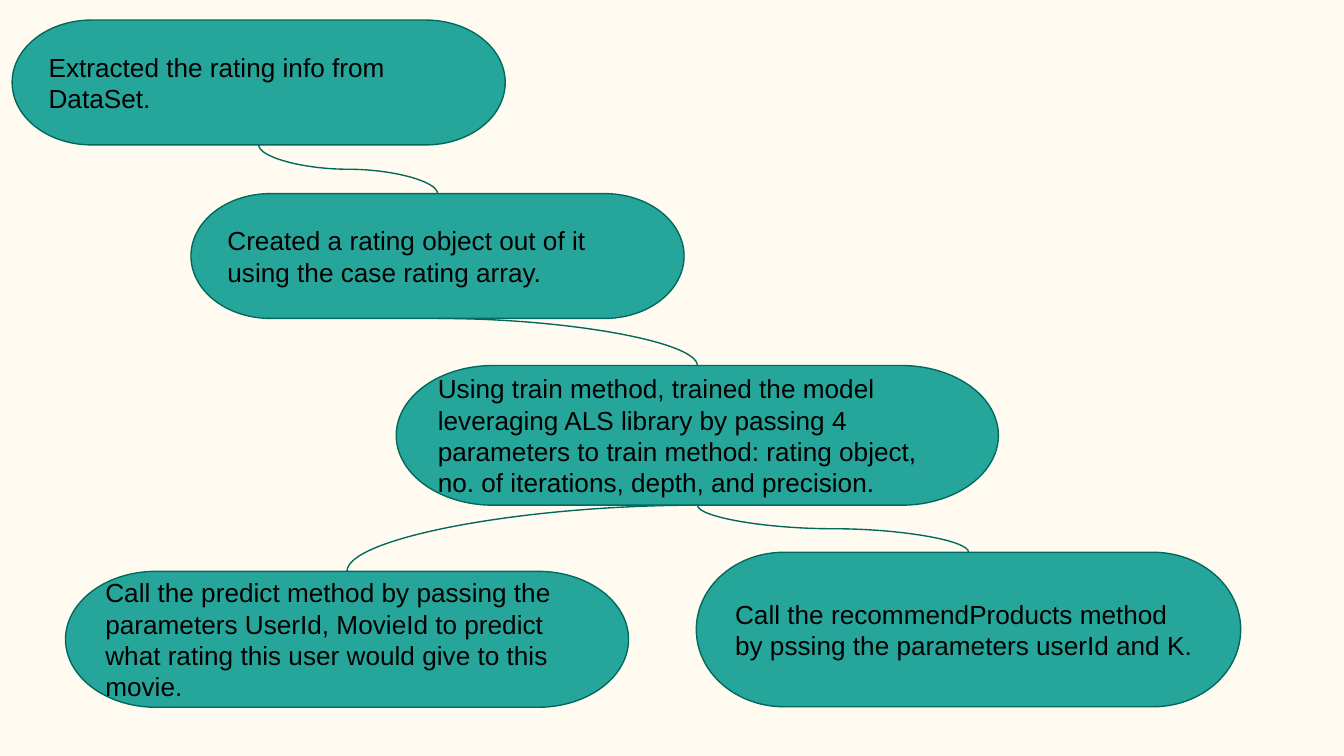
from lxml import etree
from pptx import Presentation
from pptx.dml.color import RGBColor
from pptx.enum import shapes, text
from pptx.oxml import ns
from pptx.util import Cm, Pt

CREAM, TEAL, DARK_TEAL, BLACK = "FFFBF0", "26A69A", "00695C", "000000"

# step: (left, top, width, height in cm, wording)
STEPS = {
    "extract": (0.23, 0.38, 9.32, 2.36, "Extracted the rating info from DataSet."),
    "create": (3.61, 3.66, 9.32, 2.36,
               "Created a rating object out of it using the case rating array."),
    "train": (7.49, 6.91, 11.38, 2.64,
              "Using train method, trained the model leveraging ALS library by "
              "passing 4 parameters to train method: rating object, no. of "
              "iterations, depth, and precision."),
    "recommend": (13.16, 10.44, 10.29, 2.92,
                  "Call the recommendProducts method by pssing the parameters "
                  "userId and K."),
    "predict": (1.24, 10.8, 10.64, 2.57,
                "Call the predict method by passing the parameters UserId, MovieId "
                "to predict what rating this user would give to this movie."),
}

# (from, to, curve)
LINKS = [
    ("extract", "create", "s-curve"),
    ("create", "train", "quarter"),
    ("train", "recommend", "s-curve"),
    ("train", "predict", "quarter"),
]

FRAME_FORMAT = {
    "word_wrap": True,
    "vertical_anchor": text.MSO_ANCHOR.MIDDLE,
    **{f"margin_{side}": Cm(0.25) for side in ("left", "right", "top", "bottom")},
}
FONT_FORMAT = {"name": "Arial", "size": Pt(14)}


def apply_format(target, values):
    for name, value in values.items():
        setattr(target, name, value)


def paint(fill, colour):
    fill.solid()
    fill.fore_color.rgb = RGBColor.from_string(colour)


def outline(line):
    paint(line.fill, DARK_TEAL)
    line.width = Pt(0.75)


def add_step(slide, left, top, width, height, wording):
    step = slide.shapes.add_shape(
        shapes.MSO_SHAPE.FLOWCHART_TERMINATOR,
        Cm(left), Cm(top), Cm(width), Cm(height))
    step.shadow.inherit = False
    paint(step.fill, TEAL)
    outline(step.line)
    apply_format(step.text_frame, FRAME_FORMAT)
    paragraph = step.text_frame.paragraphs[0]
    paragraph.alignment = text.PP_ALIGN.LEFT
    run = paragraph.add_run()
    run.text = wording
    apply_format(run.font, FONT_FORMAT)
    paint(run.font.fill, BLACK)


def add_link(slide, source, target, curve):
    """Join the bottom centre of one step to the top centre of another."""
    left, top, width, height, _ = STEPS[source]
    x1, y1 = left + width / 2, top + height
    left, top, width, _, _ = STEPS[target]
    x2, y2 = left + width / 2, top
    if curve == "s-curve":
        # A curved connector leaves sideways, so it is laid out turned by 270°.
        mid_x, mid_y = (x1 + x2) / 2, (y1 + y2) / 2
        half_w, half_h = (y2 - y1) / 2, (x2 - x1) / 2
        x1, x2 = mid_x + half_w, mid_x - half_w
        y1, y2 = mid_y - half_h, mid_y + half_h
    link = slide.shapes.add_connector(
        shapes.MSO_CONNECTOR.CURVE, Cm(x1), Cm(y1), Cm(x2), Cm(y2))
    outline(link.line)
    properties = link._element.spPr
    etree.SubElement(properties, ns.qn("a:effectLst"))
    if curve == "s-curve":
        properties.find(ns.qn("a:xfrm")).set("rot", str(270 * 60000))
    else:
        properties.find(ns.qn("a:prstGeom")).set("prst", "curvedConnector2")


def main():
    deck = Presentation()
    deck.slide_width, deck.slide_height = Cm(25.4), Cm(14.29)
    slide = deck.slides.add_slide(deck.slide_layouts[6])
    paint(slide.background.fill, CREAM)
    for step in STEPS.values():
        add_step(slide, *step)
    for link in LINKS:
        add_link(slide, *link)
    deck.save("out.pptx")


if __name__ == "__main__":
    main()
